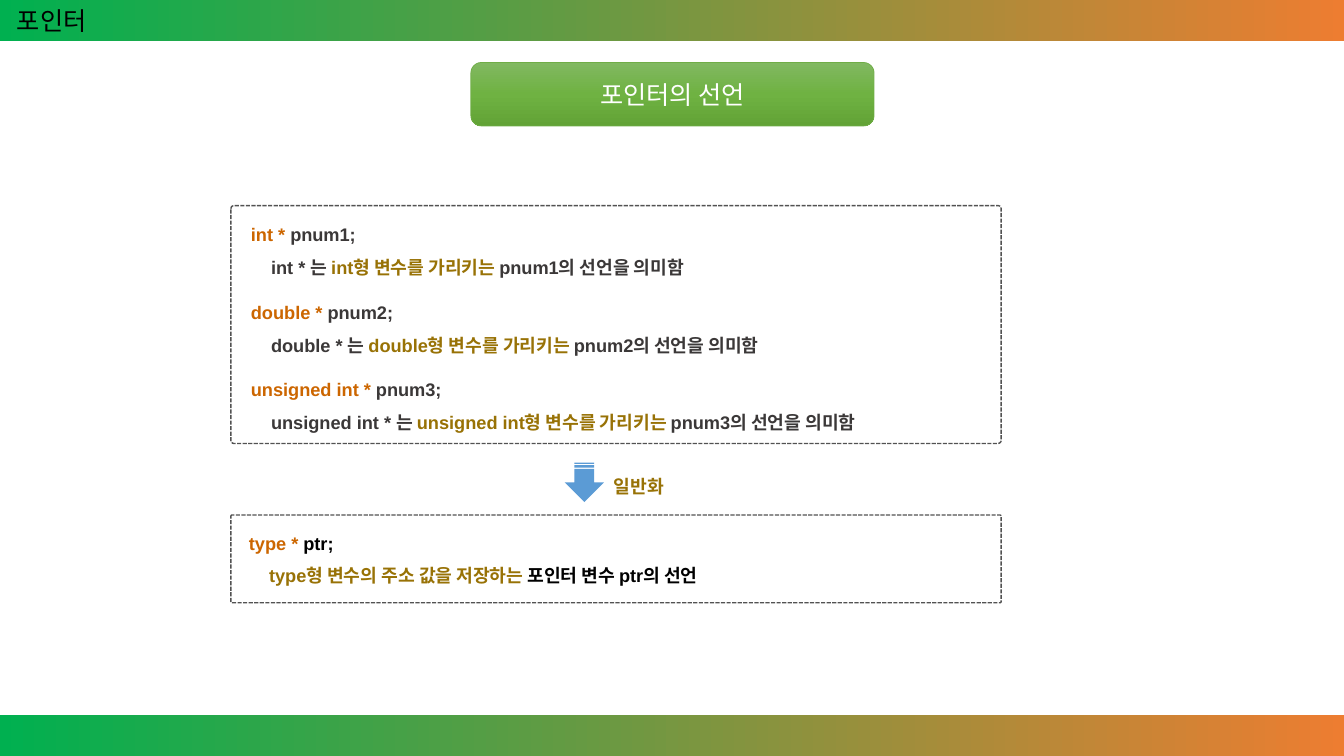
from lxml import etree
from pptx import Presentation
from pptx import util as u
from pptx.dml.color import RGBColor
from pptx.enum import dml, shapes, text
from pptx.oxml import ns

# Content
TITLE = "포인터"
HEAD = "포인터의 선언"
LABEL = "일반화"
TYPES = [("int", "pnum1"), ("double", "pnum2"), ("unsigned int", "pnum3")]
KR, LATIN = "Noto Sans CJK KR", "Arial"
ORANGE, GOLD, GREY = "CC6600", "987206", "3B3838"
BLACK, WHITE = "000000", "FFFFFF"
BAR = [(0, "00B050"), (100, "ED7D31")]
GREEN = [(0, "81B861"), (50, "6FB242"), (100, "62A336")]
WIDE, HIGH, EDGE = 13.33, 7.5, 0.41

# Each line: indent in inches, space before in points, runs of (words, colour)
DECLS = []
for i, (kind, name) in enumerate(TYPES):
    DECLS += [
        (0, 8.6 if i else 0, [(f"{kind} * ", ORANGE), (f"{name};", GREY)]),
        (0.2, 0, [(f"{kind} * 는 ", GREY),
                  (f"{kind}형 변수를 가리키는 ", GOLD),
                  (f"{name}의 선언을 의미함", GREY)]),
    ]
GENERAL = [
    (0, 0, [("type * ", ORANGE), ("ptr;", BLACK)]),
    (0.2, 0, [("type형 변수의 주소 값을 저장하는", GOLD),
              (" 포인터 변수 ptr의 선언", BLACK)]),
]

prs = Presentation()
prs.slide_width, prs.slide_height = u.Inches(WIDE), u.Inches(HIGH)
slide = prs.slides.add_slide(prs.slide_layouts[6])


def rgb(code):
    return RGBColor.from_string(code)


def add(kind, box):
    part = slide.shapes.add_shape(kind, *map(u.Inches, box))
    part.shadow.inherit = False
    part.fill.background()
    part.line.fill.background()
    return part


def blend(part, stops, angle):
    part.fill.gradient()
    grad = part._element.spPr.find(ns.qn("a:gradFill"))
    for child in list(grad):
        grad.remove(child)
    row = etree.SubElement(grad, ns.qn("a:gsLst"))
    for pos, code in stops:
        stop = etree.SubElement(row, ns.qn("a:gs"), pos=str(pos * 1000))
        etree.SubElement(stop, ns.qn("a:srgbClr"), val=code)
    etree.SubElement(grad, ns.qn("a:lin"), ang=str(angle * 60000), scaled="0")


def write(para, words, code, size, face, bold=False):
    run = para.add_run()
    run.text = words
    font = run.font
    font.size, font.bold, font.name = u.Pt(size), bold, face
    font.color.rgb = rgb(code)
    etree.SubElement(run._r.get_or_add_rPr(), ns.qn("a:ea"), typeface=KR)


def add_text(box, wrap=True):
    frame = slide.shapes.add_textbox(*map(u.Inches, box)).text_frame
    frame.word_wrap = wrap
    return frame


def add_lines(box, lines):
    frame = add_text(box)
    for i, (indent, gap, runs) in enumerate(lines):
        para = frame.add_paragraph() if i else frame.paragraphs[0]
        para.line_spacing = 1.5
        para.space_before = u.Pt(gap)
        para._p.get_or_add_pPr().set("marL", str(u.Inches(indent)))
        for words, code in runs:
            write(para, words, code, 13, LATIN, True)


# Top and bottom bars
for top in (0, HIGH - EDGE):
    blend(add(shapes.MSO_SHAPE.RECTANGLE, (0, top, WIDE, EDGE)), BAR, 0)

# Title and heading
write(add_text((0.07, 0, 0.96, 0.4), False).paragraphs[0], TITLE, BLACK, 18, KR)
head = add(shapes.MSO_SHAPE.ROUNDED_RECTANGLE, (4.67, 0.62, 4, 0.63))
blend(head, GREEN, 90)
head.line.color.rgb = rgb("70AD47")
head.line.width = u.Pt(0.5)
head.text_frame.vertical_anchor = text.MSO_ANCHOR.MIDDLE
para = head.text_frame.paragraphs[0]
para.alignment = text.PP_ALIGN.CENTER
write(para, HEAD, WHITE, 18, KR)

# Dashed frames
for top, tall in ((2.04, 2.36), (5.11, 0.87)):
    frame = add(shapes.MSO_SHAPE.ROUNDED_RECTANGLE, (2.29, top, 7.64, tall))
    frame.adjustments[0] = 0.013
    frame.line.color.rgb = rgb("525252")
    frame.line.width = u.Pt(1)
    frame.line.dash_style = dml.MSO_LINE.SQUARE_DOT

# Declarations, general form and label
add_lines((2.39, 2.06, 7.01, 2.32), DECLS)
add_lines((2.37, 5.12, 5.91, 0.72), GENERAL)
add_lines((5.99, 4.56, 1.42, 0.39), [(0, 0, [(LABEL, GOLD)])])

# Arrow
arrow = add(shapes.MSO_SHAPE.STRIPED_RIGHT_ARROW, (5.6, 4.59, 0.39, 0.39))
arrow.rotation = 90
arrow.fill.solid()
arrow.fill.fore_color.rgb = rgb("5B9BD5")

prs.save("out.pptx")
